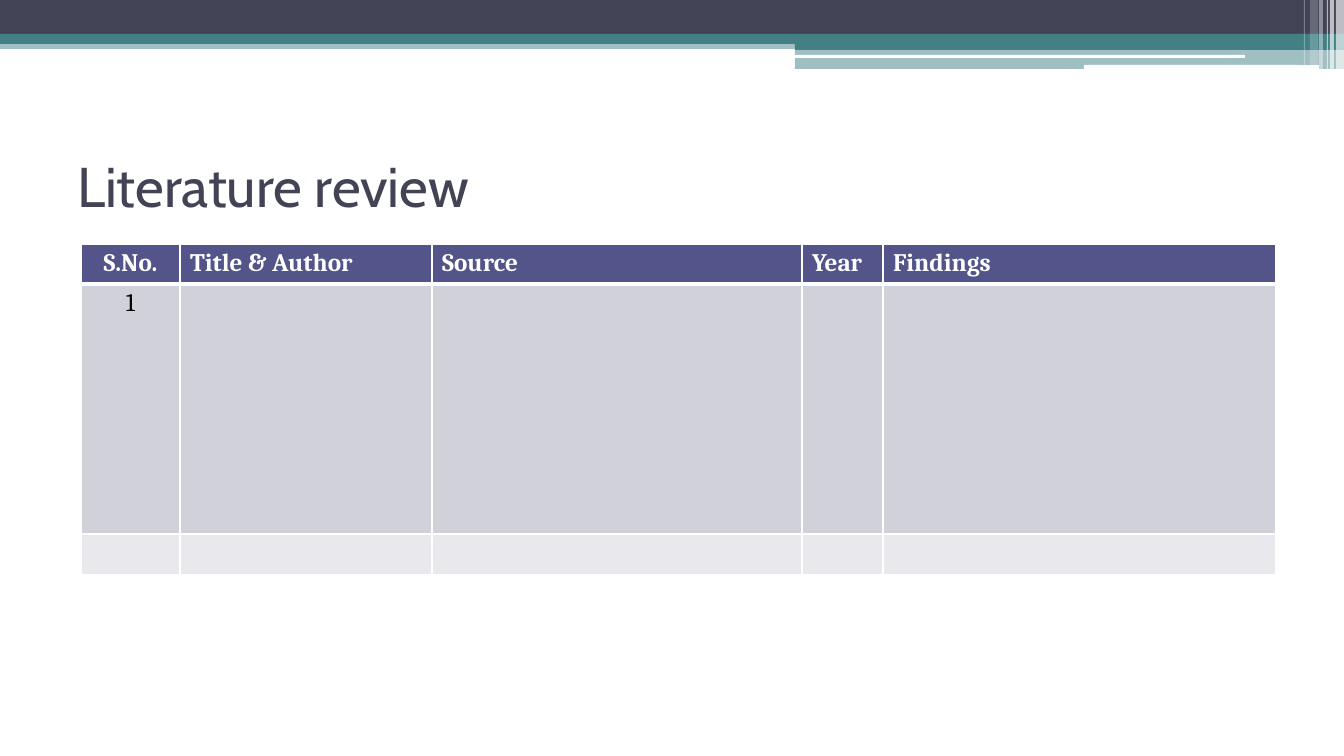
from dataclasses import dataclass

from lxml.etree import SubElement
from pptx import Presentation
from pptx.dml.color import RGBColor
from pptx.enum.shapes import MSO_SHAPE
from pptx.enum.text import MSO_ANCHOR, PP_ALIGN
from pptx.oxml import parse_xml
from pptx.oxml.ns import nsdecls, qn
from pptx.util import Pt

PX = 914400 / 100.8


def px(n):
    return round(n * PX)


@dataclass(frozen=True)
class Theme:
    dark: str = "424456"
    teal: str = "438086"
    white: str = "FFFFFF"
    black: str = "000000"
    header: str = "53548A"
    bands: tuple = ("D1D1DA", "E9E9ED")
    title_font: str = "Cabin"
    body_font: str = "Cambria"
    title_size: int = 40
    body_size: int = 18
    rule: int = 1
    header_rule: int = 3


class SlideBuilder:
    def __init__(self, prs, theme):
        self.theme = theme
        self.s = prs.slides.add_slide(prs.slide_layouts[5])

    def style(self, p, font, size, color, bold=False):
        for r in p.runs:
            r.font.name, r.font.size, r.font.bold = font, Pt(size), bold
            r.font.color.rgb = RGBColor.from_string(color)

    def title(self, text, x, y, w, h):
        sp = self.s.shapes.title
        sp.left, sp.top, sp.width, sp.height = map(px, (x, y, w, h))
        tf = sp.text_frame
        tf.text = text
        tf.word_wrap = True
        tf.vertical_anchor = MSO_ANCHOR.MIDDLE
        p = tf.paragraphs[0]
        p.alignment = PP_ALIGN.LEFT
        self.style(p, self.theme.title_font, self.theme.title_size, self.theme.dark)

    def bar(self, x, y, w, h, color, alpha=100, rounded=False):
        kind = MSO_SHAPE.ROUNDED_RECTANGLE if rounded else MSO_SHAPE.RECTANGLE
        sp = self.s.shapes.add_shape(kind, *map(px, (x, y, w, h)))
        sp.shadow.inherit = False
        sp.line.fill.background()
        sp.fill.solid()
        sp.fill.fore_color.rgb = RGBColor.from_string(color)
        if alpha < 100:
            clr = sp.fill._xPr.find(".//" + qn("a:srgbClr"))
            SubElement(clr, qn("a:alpha"), val=str(alpha * 1000))

    def borders(self, cell, top, bottom):
        t = self.theme
        tc_pr = cell._tc.get_or_add_tcPr()
        sides = (("L", t.rule), ("R", t.rule), ("T", top), ("B", bottom))
        for i, (side, width) in enumerate(sides):
            tc_pr.insert(i, parse_xml(
                f'<a:ln{side} {nsdecls("a")} w="{Pt(width)}"><a:solidFill>'
                f'<a:srgbClr val="{t.white}"/></a:solidFill></a:ln{side}>'))

    def table(self, x, y, cols, heights, rows):
        t = self.theme
        frame = self.s.shapes.add_table(
            len(rows), len(cols), px(x), px(y), px(sum(cols)), px(sum(heights)))
        table = frame.table
        for col, w in zip(table.columns, cols):
            col.width = px(w)
        for row, h in zip(table.rows, heights):
            row.height = px(h)
        for i, texts in enumerate(rows):
            is_header = i == 0
            fill = t.header if is_header else t.bands[(i - 1) % 2]
            for j, text in enumerate(texts):
                cell = table.cell(i, j)
                cell.fill.solid()
                cell.fill.fore_color.rgb = RGBColor.from_string(fill)
                self.borders(cell, t.header_rule if i == 1 else t.rule,
                             t.header_rule if is_header else t.rule)
                if not text:
                    continue
                cell.text_frame.text = text
                p = cell.text_frame.paragraphs[0]
                p.alignment = PP_ALIGN.CENTER if j == 0 else PP_ALIGN.LEFT
                self.style(p, t.body_font, t.body_size,
                           t.white if is_header else t.black, is_header)


def main():
    prs = Presentation()
    prs.slide_width, prs.slide_height = px(1344), px(756)
    t = Theme()
    b = SlideBuilder(prs, t)

    # Header bands
    b.bar(0, 40, 1344, 9, t.teal, 50)
    b.bar(0, 0, 1344, 34, t.dark)
    b.bar(0, 34, 1344, 10, t.teal)
    b.bar(795, 40, 549, 10, t.teal)
    b.bar(795, 49, 549, 20, t.teal, 50)
    b.bar(795, 55, 450, 3, t.white, rounded=True)
    b.bar(1084, 65, 235, 4, t.white, rounded=True)

    # Translucent stripes at the right edge: x, width, height, opacity
    for x, w, h, alpha in ((1336, 8, 69, 65), (1330, 4, 69, 65), (1327, 1, 69, 60),
                           (1319, 4, 69, 40), (1310, 8, 65, 20), (1304, 1, 65, 30)):
        b.bar(x, 0, w, h, t.white, alpha)

    # Title and review table
    b.title("Literature review", 67, 126, 1210, 118)
    b.table(81, 244, (99, 252, 370, 81, 393), (40, 250, 39), (
        ("S.No.", "Title & Author", "Source", "Year", "Findings"),
        ("1", "", "", "", ""),
        ("", "", "", "", ""),
    ))

    prs.save("out.pptx")


if __name__ == "__main__":
    main()
